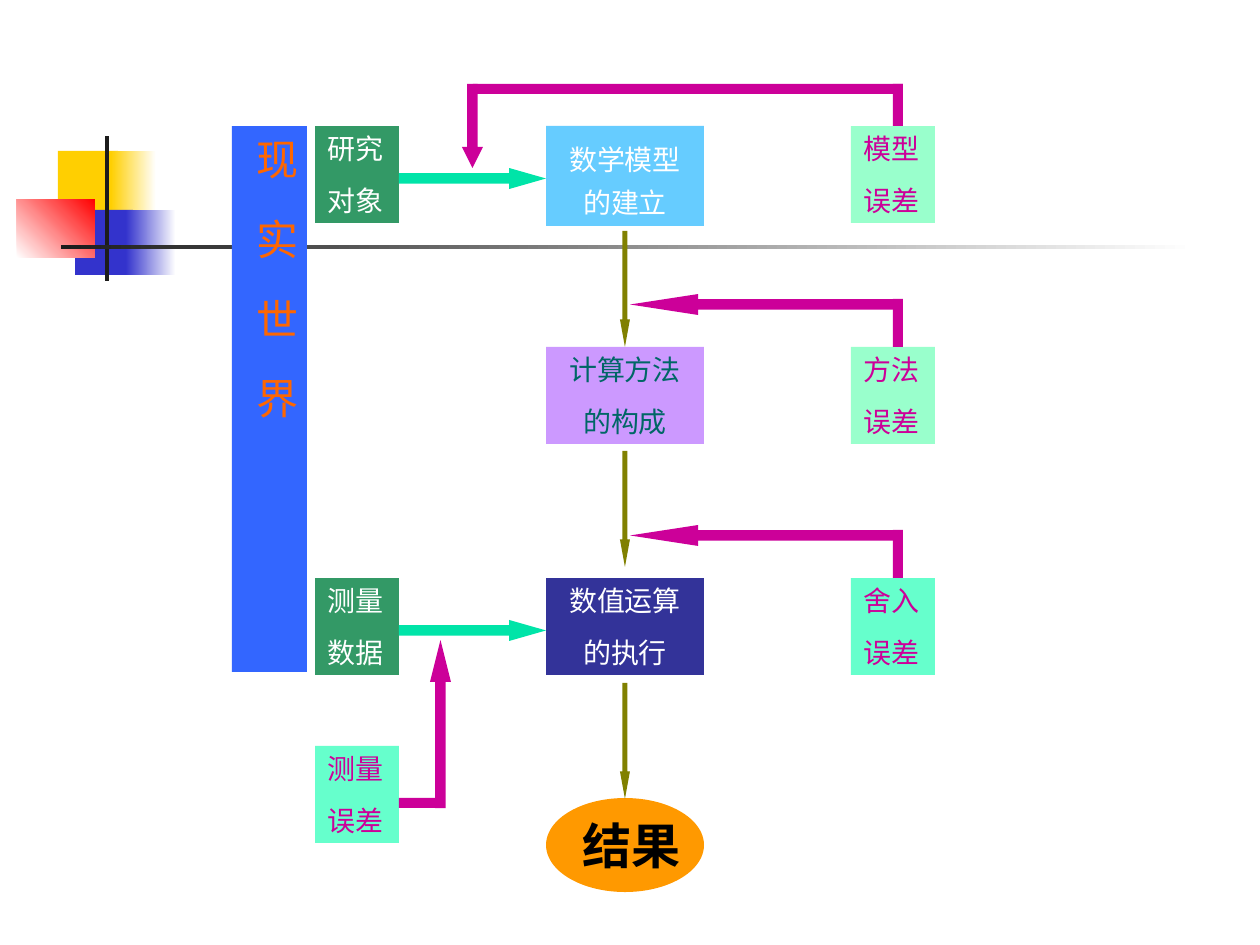
from pptx import Presentation
from pptx.dml.color import RGBColor
from pptx.enum.shapes import MSO_SHAPE
from pptx.enum.text import MSO_ANCHOR, PP_ALIGN
from pptx.util import Emu, Pt

PX = 914400 / 126
FONT = "Times New Roman"
COLORS = {
    "white": "FFFFFF", "black": "000000", "ink": "1C1C1C",
    "yellow": "FFCF01", "blue": "3333CC", "red": "FF0000",
    "world": "3366FF", "world_text": "FF6600", "green": "339966",
    "sky": "66CCFF", "lilac": "CC99FF", "navy": "333399", "teal": "006666",
    "mint": "99FFCC", "aqua": "66FFCC", "magenta": "CC0099",
    "olive": "808000", "flow": "00E4A8", "orange": "FF9900",
}
INPUT_X, STEP_X, ERROR_X = 315, 546, 851
MODEL_Y, METHOD_Y, RUN_Y, MEASURE_Y = 126, 347, 578, 746
SMALL_W, STEP_W, BOX_H = 84, 158, 97
BAR = 10
HEAD = 21


def px(length):
    return Emu(round(length * PX))


def rgb(name):
    return RGBColor.from_string(COLORS[name])


def add_block(slide, preset, x, y, w, h, color):
    block = slide.shapes.add_shape(preset, px(x), px(y), px(w), px(h))
    block.shadow.inherit = False
    block.line.fill.background()
    block.fill.solid()
    block.fill.fore_color.rgb = rgb(color)
    return block


def add_bar(slide, x, y, w, h, color):
    return add_block(slide, MSO_SHAPE.RECTANGLE, x, y, w, h, color)


def add_fade(slide, x, y, w, h, start, end, angle=0):
    """Rectangle with a two-colour gradient; angle runs counter-clockwise."""
    fade = add_bar(slide, x, y, w, h, start)
    fade.fill.gradient()
    fade.fill.gradient_angle = angle
    for stop, color in zip(fade.fill.gradient_stops, (start, end)):
        stop.color.rgb = rgb(color)


def add_arrow(slide, preset, x, y, w, h, color, head_ratio):
    arrow = add_block(slide, preset, x, y, w, h, color)
    arrow.adjustments[0] = 0.5
    arrow.adjustments[1] = head_ratio


def write(block, lines, color, size=16, align=PP_ALIGN.LEFT, spacing=None,
          bold=False, anchor=MSO_ANCHOR.TOP, margins=(13, 6)):
    """Put one paragraph per line in the block; margins are side and top."""
    frame = block.text_frame
    frame.word_wrap = True
    frame.vertical_anchor = anchor
    frame.margin_left = frame.margin_right = px(margins[0])
    frame.margin_top = frame.margin_bottom = px(margins[1])
    for index, line in enumerate(lines):
        paragraph = frame.add_paragraph() if index else frame.paragraphs[0]
        paragraph.alignment = align
        paragraph.space_before = Pt(10 if index else 0)
        if spacing:
            paragraph.line_spacing = spacing
        run = paragraph.add_run()
        run.text = line
        run.font.name = FONT
        run.font.size = Pt(size)
        run.font.bold = bold
        run.font.color.rgb = rgb(color)
    return frame


def add_ornament(slide):
    add_bar(slide, 58, 151, 60, 65, "yellow")
    add_fade(slide, 111, 151, 45, 65, "yellow", "white")
    add_bar(slide, 75, 210, 58, 65, "blue")
    add_fade(slide, 126, 210, 50, 65, "blue", "white")
    add_fade(slide, 17, 199, 78, 59, "white", "red", angle=45)
    add_bar(slide, 105, 136, 4, 145, "ink")
    add_fade(slide, 61, 245, 1134, 4, "ink", "white")


def add_real_world(slide):
    world = add_bar(slide, 232, 126, 75, 546, "world")
    frame = write(world, ["现实世界"], "world_text", size=24,
                  align=PP_ALIGN.CENTER, margins=(6, 13))
    frame._txBody.bodyPr.set("vert", "eaVert")
    letter_gap = Pt(21.5)
    run = frame.paragraphs[0].runs[0]
    run.font._element.set("spc", str(round(letter_gap.pt * 100)))


def add_boxes(slide):
    small_boxes = [
        (INPUT_X, MODEL_Y, "green", "white", ["研究", "对象"]),
        (INPUT_X, RUN_Y, "green", "white", ["测量", "数据"]),
        (INPUT_X, MEASURE_Y, "aqua", "magenta", ["测量", "误差"]),
        (ERROR_X, MODEL_Y, "mint", "magenta", ["模型", "误差"]),
        (ERROR_X, METHOD_Y, "mint", "magenta", ["方法", "误差"]),
        (ERROR_X, RUN_Y, "aqua", "magenta", ["舍入", "误差"]),
    ]
    for x, y, fill, color, lines in small_boxes:
        write(add_bar(slide, x, y, SMALL_W, BOX_H, fill), lines, color)

    steps = [
        (MODEL_Y, 100, "sky", "white", ["数学模型的建立"], 1.3),
        (METHOD_Y, BOX_H, "lilac", "teal", ["计算方法", "的构成"], None),
        (RUN_Y, BOX_H, "navy", "white", ["数值运算", "的执行"], None),
    ]
    for y, h, fill, color, lines, spacing in steps:
        write(add_bar(slide, STEP_X, y, STEP_W, h, fill), lines, color,
              align=PP_ALIGN.CENTER, spacing=spacing)

    result = add_block(slide, MSO_SHAPE.OVAL, STEP_X, 798, STEP_W, 94, "orange")
    frame = write(result, ["结果"], "black", size=28, bold=True,
                  anchor=MSO_ANCHOR.MIDDLE)
    frame.word_wrap = False


def add_flow(slide):
    for y in (231, 451, 683):
        add_arrow(slide, MSO_SHAPE.DOWN_ARROW, 620, y, BAR, 116, "olive", 2.75)
    input_right = INPUT_X + SMALL_W
    for y in (168, 620):
        add_arrow(slide, MSO_SHAPE.RIGHT_ARROW, input_right, y,
                  STEP_X - input_right, HEAD, "flow", 1.75)


def add_error_paths(slide):
    riser_x = 893
    for box_y, bar_y in ((MODEL_Y, 84), (METHOD_Y, 299), (RUN_Y, 530)):
        add_bar(slide, riser_x, bar_y, BAR, box_y - bar_y, "magenta")
    for y in (294, 525):
        add_arrow(slide, MSO_SHAPE.LEFT_ARROW, 630, y, riser_x + BAR - 630,
                  HEAD, "magenta", 3.25)
    add_bar(slide, 473, 84, riser_x + BAR - 473, BAR, "magenta")
    add_arrow(slide, MSO_SHAPE.DOWN_ARROW, 462, 84, HEAD, 84, "magenta", 1)
    add_bar(slide, INPUT_X + SMALL_W, 798, 42, BAR, "magenta")
    add_arrow(slide, MSO_SHAPE.UP_ARROW, 430, 640, HEAD, 168, "magenta", 2)


def main():
    presentation = Presentation()
    presentation.slide_width = px(1260)
    presentation.slide_height = px(945)
    slide = presentation.slides.add_slide(presentation.slide_layouts[6])
    add_ornament(slide)
    add_real_world(slide)
    add_boxes(slide)
    add_error_paths(slide)
    add_flow(slide)
    presentation.save("out.pptx")


if __name__ == "__main__":
    main()
